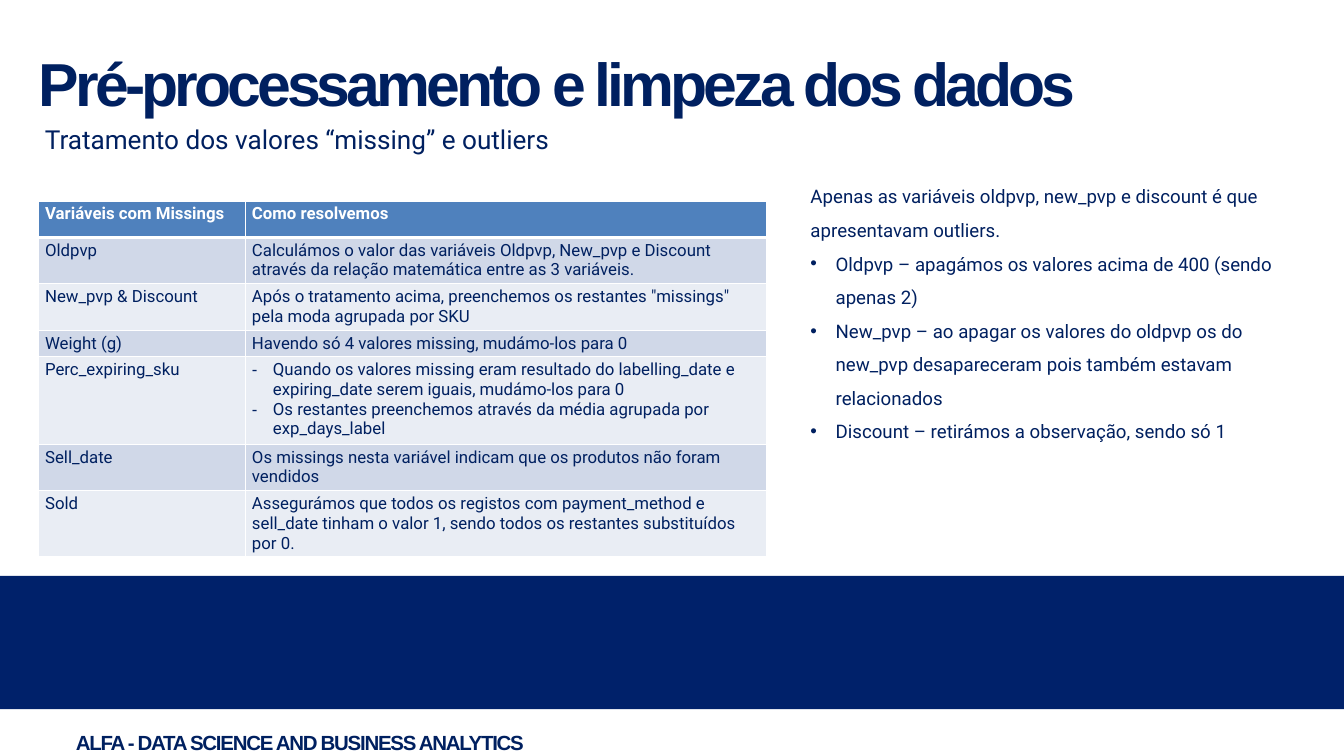
from lxml.etree import SubElement
from pptx import Presentation
from pptx.dml.color import RGBColor
from pptx.enum.shapes import MSO_SHAPE as Shape
from pptx.enum.text import MSO_ANCHOR as Anchor, MSO_AUTO_SIZE as AutoSize, PP_ALIGN as Align
from pptx.oxml.ns import qn
from pptx.util import Cm, Pt

# Content
TITLE = "Pré-processamento e limpeza dos dados"
SUBTITLE = "Tratamento dos valores “missing” e outliers"
FOOTER = "ALFA - DATA SCIENCE AND BUSINESS ANALYTICS"
HEADER = ("Variáveis com Missings", "Como resolvemos")
# Variable, treatment (a list is dashed), row height in cm
TREATMENTS = [
    ("Oldpvp", "Calculámos o valor das variáveis Oldpvp, New_pvp e Discount através da "
     "relação matemática entre as 3 variáveis.", 1.76),
    ("New_pvp & Discount", 'Após o tratamento acima, preenchemos os restantes "missings" '
     "pela moda agrupada por SKU", 1.76),
    ("Weight (g)", "Havendo só 4 valores missing, mudámo-los para 0", 1),
    ("Perc_expiring_sku", [
        "Quando os valores missing eram resultado do labelling_date e expiring_date "
        "serem iguais, mudámo-los para 0",
        "Os restantes preenchemos através da média agrupada por exp_days_label"], 3.3),
    ("Sell_date", "Os missings nesta variável indicam que os produtos não foram vendidos", 1.76),
    ("Sold", "Assegurámos que todos os registos com payment_method e sell_date tinham o "
     "valor 1, sendo todos os restantes substituídos por 0.", 2.5),
]
OUTLIER_INTRO = "Apenas as variáveis oldpvp, new_pvp e discount é que apresentavam outliers."
OUTLIERS = [
    "Oldpvp – apagámos os valores acima de 400 (sendo apenas 2)",
    "New_pvp – ao apagar os valores do oldpvp os do new_pvp desapareceram pois também "
    "estavam relacionados",
    "Discount – retirámos a observação, sendo só 1",
]

# Style
NAVY, BAND, WHITE = "002060", "00216A", "FFFFFF"
HEADER_FILL, ROW_FILLS = "4F81BD", ("D0D8E8", "E9EDF4")
HEADER_HEIGHT = 1.37
COLUMNS = (7.82, 19.69)


def color(code):
    return RGBColor.from_string(code)


def place(box, left, top, width, height):
    box.left, box.top, box.width, box.height = Cm(left), Cm(top), Cm(width), Cm(height)


def prepare(frame, inset=None, wrap=True):
    frame.word_wrap = wrap
    frame.auto_size = AutoSize.NONE
    frame.vertical_anchor = Anchor.TOP
    if inset is not None:
        frame.margin_left = frame.margin_right = Cm(inset)
        frame.margin_top = frame.margin_bottom = Cm(inset)


def write(frame, lines, size, font="Roboto", ink=NAVY, bold=False, align=Align.LEFT,
          spacing=None):
    frame.text = "\n".join(lines)
    for para in frame.paragraphs:
        para.alignment = align
        para.space_before = Pt(0)
        if spacing:
            para.line_spacing = spacing
        para.font.name, para.font.size, para.font.bold = font, Pt(size), bold
        para.font.color.rgb = color(ink)


def tighten(para, points):
    for span in para.runs:
        span.font._element.set("spc", str(round(points * 100)))


def bullet(para, mark, indent):
    props = para._p.get_or_add_pPr()
    props.set("marL", str(Cm(indent)))
    props.set("indent", str(-Cm(indent)))
    if mark:
        SubElement(props, qn("a:buFont"), typeface="Arial")
        SubElement(props, qn("a:buChar"), char=mark)
    else:
        SubElement(props, qn("a:buNone"))
    # Default run properties close the paragraph properties
    props.append(props.find(qn("a:defRPr")))


def border(cell, widths):
    props = cell._tc.get_or_add_tcPr()
    for side, width in zip("LRTB", widths):
        line = SubElement(props, qn(f"a:ln{side}"), w=str(Pt(width)))
        fill = SubElement(line, qn("a:solidFill"))
        SubElement(fill, qn("a:srgbClr"), val=WHITE)


deck = Presentation()
deck.slide_width, deck.slide_height = Cm(50.8), Cm(28.58)
page = deck.slides.add_slide(deck.slide_layouts[1])
title, outliers = page.placeholders

# Band
band = page.shapes.add_shape(Shape.ROUNDED_RECTANGLE, Cm(-0.18), Cm(21.77), Cm(54.9), Cm(5.04))
band.adjustments[0] = 0.04
band.shadow.inherit = False
band.fill.solid()
band.fill.fore_color.rgb = color(BAND)
band.line.fill.background()

# Title and subtitle
place(title, 1.47, 1.68, 42.75, 2.6)
prepare(title.text_frame, inset=0)
write(title.text_frame, [TITLE], 65, "Arial", bold=True, spacing=Pt(79.3))
tighten(title.text_frame.paragraphs[0], -4.2)

subtitle = page.shapes.add_textbox(Cm(1.45), Cm(4.55), Cm(19.86), Cm(1.45))
prepare(subtitle.text_frame, wrap=False)
write(subtitle.text_frame, [SUBTITLE], 28)

# Table of missing values
heights = [HEADER_HEIGHT] + [height for *_, height in TREATMENTS]
table = page.shapes.add_table(len(heights), len(COLUMNS), Cm(1.45), Cm(7.6),
                              Cm(sum(COLUMNS)), Cm(sum(heights))).table
for column, width in zip(table.columns, COLUMNS):
    column.width = Cm(width)
rows = [HEADER] + [(name, text) for name, text, _ in TREATMENTS]
for r, (texts, height) in enumerate(zip(rows, heights)):
    table.rows[r].height = Cm(height)
    head = r == 0
    for c, text in enumerate(texts):
        cell = table.cell(r, c)
        dashed = isinstance(text, list)
        write(cell.text_frame, text if dashed else [text], 18,
              ink=WHITE if head else NAVY, bold=head)
        if dashed:
            for para in cell.text_frame.paragraphs:
                bullet(para, "-", 0.79)
        border(cell, (1, 1, 3 if r == 1 else 1, 3 if head else 1))
        cell.fill.solid()
        cell.fill.fore_color.rgb = color(HEADER_FILL if head else ROW_FILLS[(r - 1) % 2])

# Outliers
place(outliers, 30.38, 6.45, 19.08, 10.36)
prepare(outliers.text_frame)
write(outliers.text_frame, [OUTLIER_INTRO] + OUTLIERS, 20, spacing=1.5)
for i, para in enumerate(outliers.text_frame.paragraphs):
    bullet(para, "•" if i else None, 0.95 if i else 0)

# Footer
footer = page.shapes.add_textbox(Cm(-1.27), Cm(27.58), Cm(25.2), Cm(0.9))
prepare(footer.text_frame, inset=0)
write(footer.text_frame, [FOOTER], 21.9, "Arial", bold=True, align=Align.CENTER,
      spacing=Pt(26.7))
tighten(footer.text_frame.paragraphs[0], -1.4)

deck.save("out.pptx")
